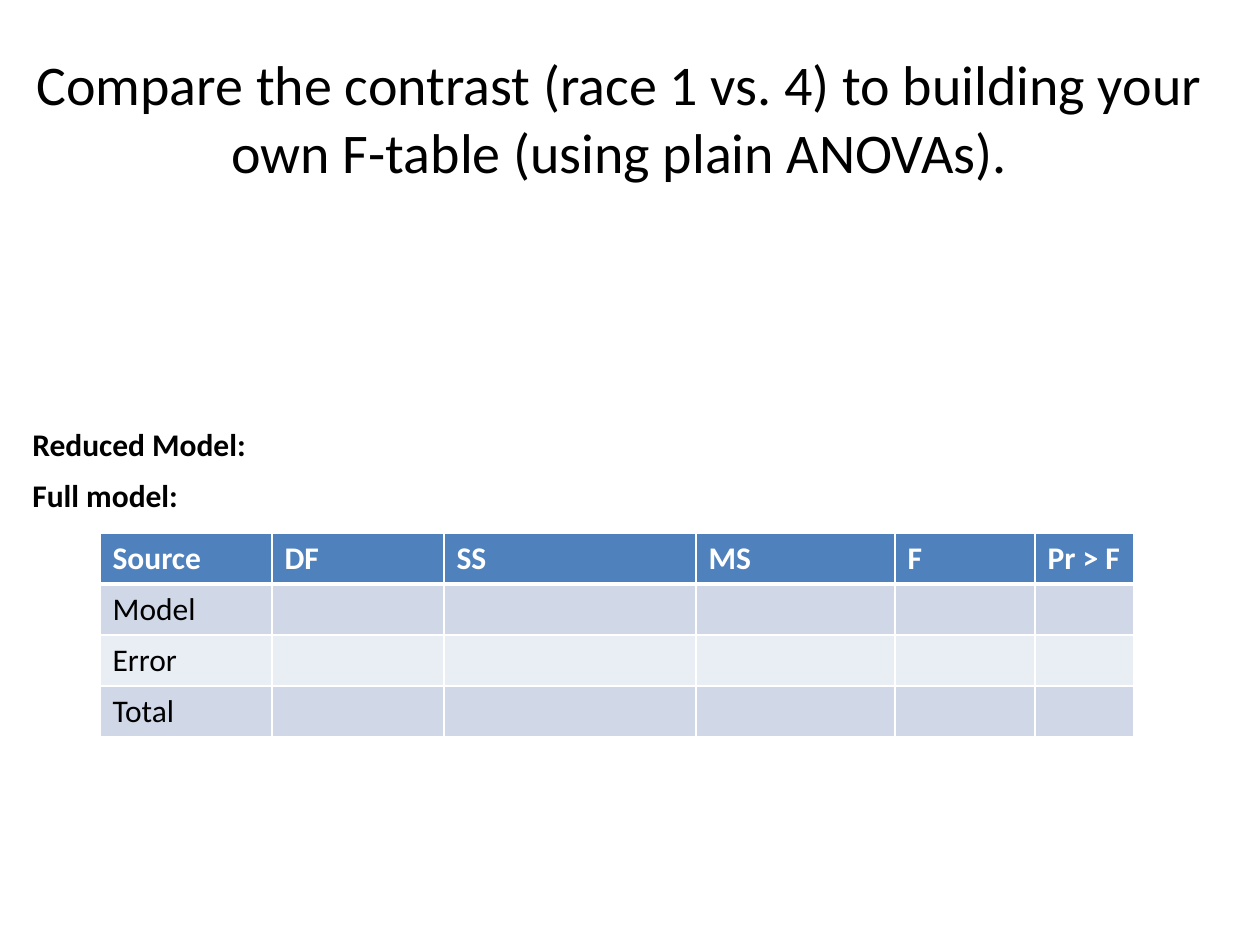
from lxml.etree import SubElement
from pptx import Presentation
from pptx.dml.color import RGBColor
from pptx.enum.text import MSO_ANCHOR as Anchor, MSO_AUTO_SIZE as AutoSize, PP_ALIGN as Align
from pptx.oxml.ns import qn
from pptx.util import Emu, Pt

COLORS = {
    "black": "000000",
    "white": "FFFFFF",
    "header": "4F81BD",
    "odd": "D0D8E8",
    "even": "E9EDF4",
}
HEADINGS = ["Source", "DF", "SS", "MS", "F", "Pr > F"]
SOURCES = ["Model", "Error", "Total"]
COLUMN_WIDTHS = [172, 172, 252, 199, 140, 99]


def px(length):
    return Emu(round(length * 914400 / 126))


class SlideBuilder:
    """Hold the style and the current slide, and add elements to it."""

    font = "Calibri"

    def __init__(self, deck):
        self.page = deck.slides.add_slide(deck.slide_layouts[6])

    def add_span(self, para, text, size=18, color="black", bold=False):
        span = para.add_run()
        span.text = text
        span.font.name = self.font
        span.font.size = Pt(size)
        span.font.bold = bold
        span.font.color.rgb = RGBColor.from_string(COLORS[color])

    def title(self, left, top, width, height, text):
        box = self.page.shapes.add_textbox(px(left), px(top), px(width), px(height))
        frame = box.text_frame
        frame.word_wrap = True
        frame.vertical_anchor = Anchor.MIDDLE
        para = frame.paragraphs[0]
        para.alignment = Align.CENTER
        self.add_span(para, text, size=32)

    def label(self, left, top, width, height, text):
        box = self.page.shapes.add_textbox(px(left), px(top), px(width), px(height))
        frame = box.text_frame
        frame.word_wrap = False
        frame.auto_size = AutoSize.SHAPE_TO_FIT_TEXT
        self.add_span(frame.paragraphs[0], text, bold=True)

    def border(self, cell, **widths):
        properties = cell._tc.get_or_add_tcPr()
        for side in "LRTB":
            line = SubElement(properties, qn(f"a:ln{side}"), w=str(Pt(widths.get(side, 1))))
            fill = SubElement(line, qn("a:solidFill"))
            SubElement(fill, qn("a:srgbClr"), val=COLORS["white"])

    def table(self, left, top, widths, row_height, rows):
        frame = self.page.shapes.add_table(
            len(rows), len(widths), px(left), px(top), px(sum(widths)), px(row_height * len(rows))
        )
        table = frame.table
        for column, width in zip(table.columns, widths):
            column.width = px(width)
        for index, (row, texts) in enumerate(zip(table.rows, rows)):
            row.height = px(row_height)
            header = index == 0
            shade = "header" if header else "odd" if index % 2 else "even"
            for cell, text in zip(row.cells, texts):
                self.border(cell, B=3 if header else 1, T=3 if index == 1 else 1)
                cell.fill.solid()
                cell.fill.fore_color.rgb = RGBColor.from_string(COLORS[shade])
                if text:
                    color = "white" if header else "black"
                    self.add_span(cell.text_frame.paragraphs[0], text, color=color, bold=header)


def main():
    deck = Presentation()
    deck.slide_width, deck.slide_height = px(1260), px(945)
    slide = SlideBuilder(deck)
    slide.title(
        0, 38, 1239, 158,
        "Compare the contrast (race 1 vs. 4) to building your own F-table (using plain ANOVAs).",
    )
    blanks = [""] * (len(HEADINGS) - 1)
    rows = [HEADINGS] + [[source] + blanks for source in SOURCES]
    slide.table(100, 533, COLUMN_WIDTHS, 51, rows)
    slide.label(20, 470, 173, 51, "Full model:")
    slide.label(20, 419, 241, 51, "Reduced Model:")
    deck.save("out.pptx")


if __name__ == "__main__":
    main()
